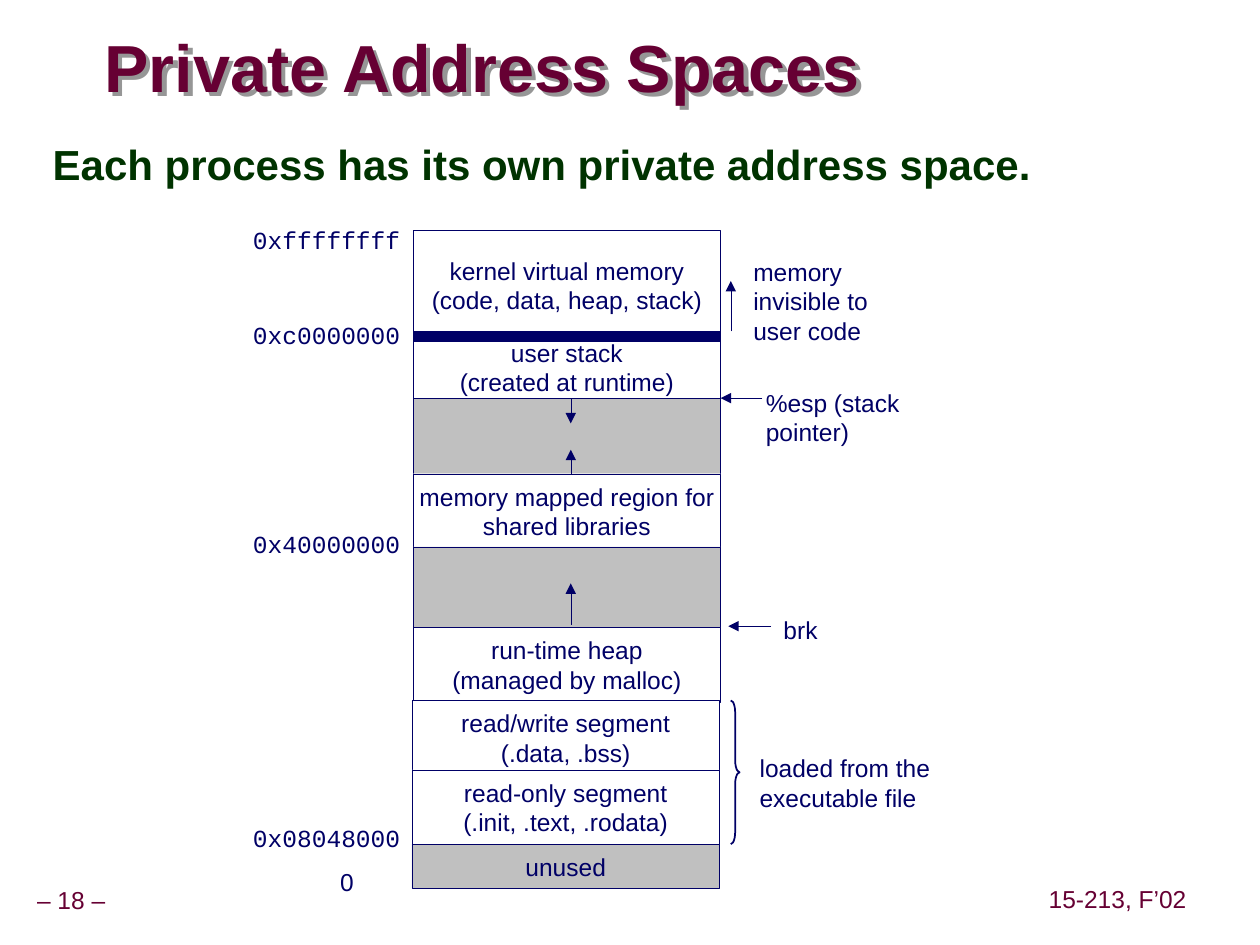
from dataclasses import dataclass
from typing import Any

from lxml.etree import SubElement as Sub
from pptx import Presentation
from pptx.dml.color import RGBColor
from pptx.enum.shapes import MSO_CONNECTOR as Conn, MSO_SHAPE as Kind
from pptx.enum.text import MSO_ANCHOR as Anchor, MSO_AUTO_SIZE as Auto, PP_ALIGN as Align
from pptx.oxml.ns import qn
from pptx.util import Inches, Pt

WIDE, HIGH = Inches(10), Inches(7.5)
COLS, ROWS = 100, 75
NAVY, WINE, GREEN, GREY, WHITE = "000066", "660033", "003300", "C0C0C0", "FFFFFF"
SHADE = "969696"
LEFT, BASE, SPAN = 32.8, 32.7, 24.4
RIGHT = LEFT + SPAN
MID = 45.3


@dataclass
class Band:
    top: float
    tall: float
    text: str = ""
    fill: str = WHITE
    left: float = LEFT


@dataclass
class Label:
    left: float
    top: float
    wide: float
    tall: float
    text: str
    font: str = "Arial"
    tint: str = NAVY
    size: float = 14
    bold: bool = False
    lead: float = 1.0
    align: Any = Align.LEFT
    pad: tuple = (0.1, 0.05)
    wrap: bool = False
    mid: bool = False


@dataclass
class Stroke:
    x1: float
    y1: float
    x2: float
    y2: float
    width: float = 0.25
    head: bool = True


BANDS = [
    Band(18.3, 8.7, "kernel virtual memory\n(code, data, heap, stack)"),
    Band(29.7, 7.9, fill=GREY),
    Band(26.7, 4.9, "user stack\n(created at runtime)"),
    Band(37.6, 5.9, "memory mapped region for\nshared libraries"),
    Band(43.4, 6.4, fill=GREY),
    Band(49.8, 5.9, "run-time heap\n(managed by malloc)"),
    Band(55.6, 5.9, "read/write segment\n(.data, .bss)", left=BASE),
    Band(61.1, 5.9, "read-only segment\n(.init, .text, .rodata)", left=BASE),
    Band(67, 3.5, "unused", GREY, BASE),
]

ADDRS = [(17.4, "0xffffffff"), (24.9, "0xc0000000"),
         (41.5, "0x40000000"), (64.8, "0x08048000")]

FOOT = {"tint": WINE, "lead": 0.9, "align": Align.CENTER, "pad": (0.05, 0.05), "mid": True}
HEAD = Label(8.3, 2.5, 70.1, 6.3, "Private Address Spaces", tint=WINE, size=38,
             bold=True, lead=0.87, pad=(0, 0), wrap=True, mid=True)

LABELS = [
    Label(3.2, 10.8, 90.9, 10.4, "Each process has its own private address space.",
          tint=GREEN, size=24, bold=True, lead=0.95, wrap=True),
    *(Label(19.1, top, 13.7, 3.4, text, "Courier New") for top, text in ADDRS),
    Label(26, 68.3, 3.1, 3.4, "0"),
    Label(58.8, 19.9, 11.1, 8, "memory\ninvisible to\nuser code"),
    Label(59.8, 30.3, 19.7, 3.4, "%esp (stack pointer)"),
    Label(61.2, 48.3, 4.7, 3.4, "brk"),
    Label(59.3, 59.3, 16.1, 5.7, "loaded from the\nexecutable file"),
    Label(-0.9, 70, 13.1, 3.1, "– 18 –", **FOOT),
    Label(82.7, 69.9, 12, 3.1, "15-213, F’02", **FOOT),
]

STROKES = [
    Stroke(MID, 31.6, MID, 33.6),
    Stroke(MID, 37.7, MID, 35.7),
    Stroke(MID, 49.6, MID, 46.3),
    Stroke(58, 26.3, 58, 22.3),
    Stroke(60.5, 31.6, RIGHT, 31.6),
    Stroke(61.2, 49.7, 57.8, 49.7),
    Stroke(LEFT, 26.7, RIGHT, 26.7, 6, False),
]


def col(n: float) -> int:
    return round(WIDE * n / COLS)


def row(n: float) -> int:
    return round(HIGH * n / ROWS)


def tint(code: str) -> RGBColor:
    return RGBColor.from_string(code)


def put(item: Any, vals: dict) -> None:
    for key, val in vals.items():
        setattr(item, key, val)


def write(frame: Any, spec: Label) -> None:
    across, down = (Inches(n) for n in spec.pad)
    frame.text = spec.text
    put(frame, {
        "margin_left": across, "margin_right": across,
        "margin_top": down, "margin_bottom": down,
        "word_wrap": spec.wrap,
        "auto_size": Auto.NONE if spec.wrap else Auto.SHAPE_TO_FIT_TEXT,
        "vertical_anchor": Anchor.MIDDLE if spec.mid else Anchor.TOP,
    })
    for para in frame.paragraphs:
        put(para, {"alignment": spec.align, "line_spacing": spec.lead})
        put(para.font, {"name": spec.font, "size": Pt(spec.size), "bold": spec.bold})
        para.font.color.rgb = tint(spec.tint)


def title(slide: Any, spec: Label) -> None:
    shape = slide.shapes.title
    put(shape, {"left": col(spec.left), "top": row(spec.top),
                "width": col(spec.wide), "height": row(spec.tall)})
    write(shape.text_frame, spec)
    shape.fill.background()
    list_ = Sub(shape.element.spPr, qn("a:effectLst"))
    cast = Sub(list_, qn("a:outerShdw"), dist=str(Inches(0.05)), dir="2700000")
    Sub(cast, qn("a:srgbClr"), val=SHADE)


def label(slide: Any, spec: Label) -> None:
    box = slide.shapes.add_textbox(col(spec.left), row(spec.top),
                                   col(spec.wide), row(spec.tall))
    write(box.text_frame, spec)


def band(slide: Any, spec: Band) -> None:
    box = slide.shapes.add_shape(Kind.RECTANGLE, col(spec.left), row(spec.top),
                                 col(SPAN), row(spec.tall))
    box.shadow.inherit = False
    box.fill.solid()
    box.fill.fore_color.rgb = tint(spec.fill)
    box.line.color.rgb = tint(NAVY)
    box.line.width = Pt(0.25)
    if spec.text:
        write(box.text_frame, Label(spec.left, spec.top, SPAN, spec.tall, spec.text,
                                    align=Align.CENTER, mid=True))
        box.text_frame.auto_size = Auto.NONE


def stroke(slide: Any, spec: Stroke) -> None:
    line = slide.shapes.add_connector(Conn.STRAIGHT, col(spec.x1), row(spec.y1),
                                      col(spec.x2), row(spec.y2))
    line.line.color.rgb = tint(NAVY)
    line.line.width = Pt(spec.width)
    if spec.head:
        Sub(line.line._get_or_add_ln(), qn("a:tailEnd"), type="triangle")
    Sub(line.element.spPr, qn("a:effectLst"))


def brace(slide: Any) -> None:
    mark = slide.shapes.add_shape(Kind.RIGHT_BRACE, col(58), row(55.6), col(0.7), row(11.4))
    mark.shadow.inherit = False
    mark.adjustments[0] = 1.35
    mark.fill.background()
    mark.line.color.rgb = tint(NAVY)
    mark.line.width = Pt(1)


def main() -> None:
    deck = Presentation()
    put(deck, {"slide_width": WIDE, "slide_height": HIGH})
    slide = deck.slides.add_slide(deck.slide_layouts[5])
    title(slide, HEAD)
    for draw, specs in ((band, BANDS), (label, LABELS), (stroke, STROKES)):
        for spec in specs:
            draw(slide, spec)
    brace(slide)
    deck.save("out.pptx")


if __name__ == "__main__":
    main()
